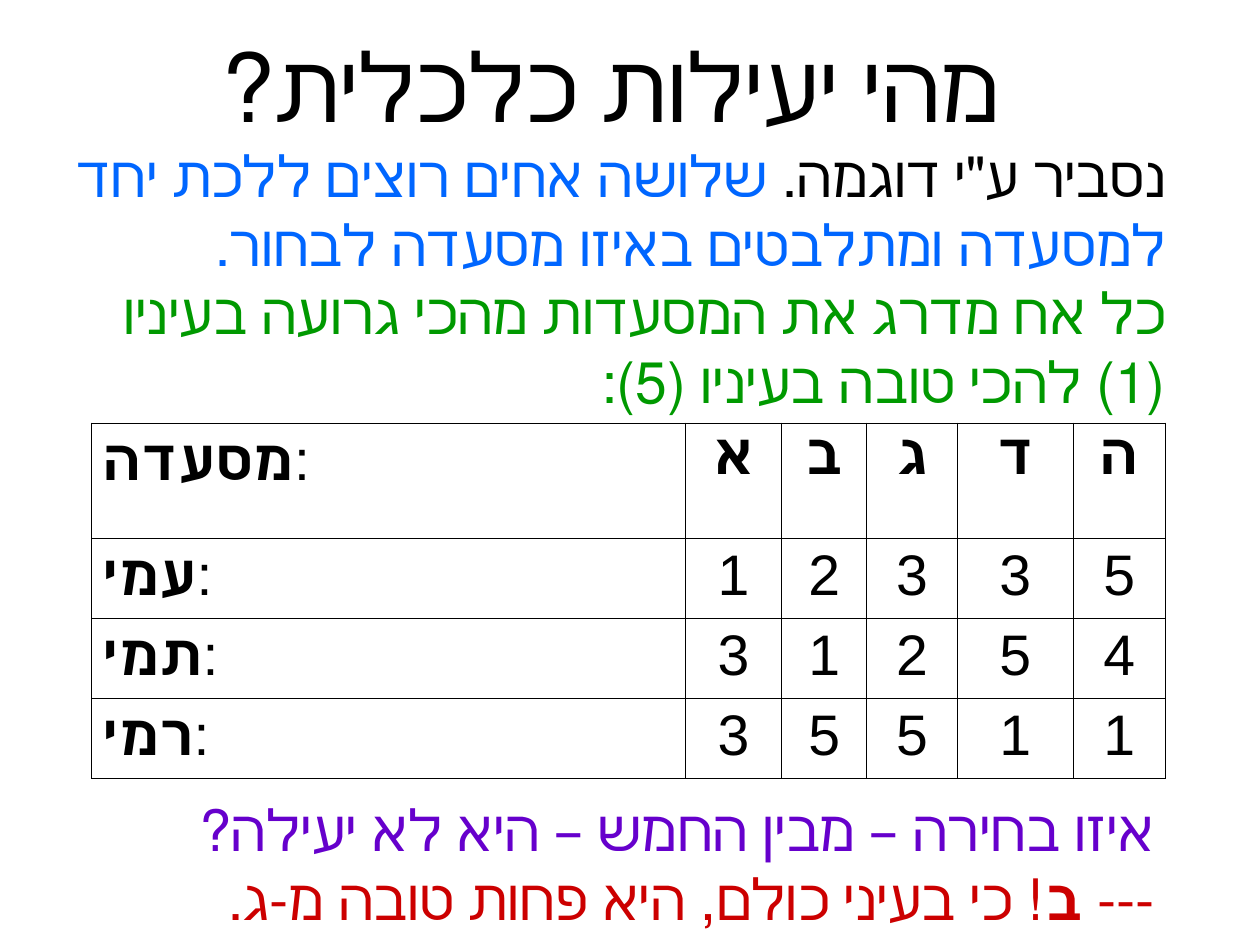
from dataclasses import dataclass

import pptx
import pptx.dml.color
import pptx.enum.text
import pptx.oxml
import pptx.oxml.ns
import pptx.util

Pt = pptx.util.Pt
ALIGN = pptx.enum.text.PP_ALIGN


@dataclass(frozen=True)
class Theme:
    """Colours, font and type sizes of the slide."""
    font: str = "Arial"
    title_size: float = 60
    body_size: float = 36
    border_width: float = 0.57
    black: str = "000000"
    white: str = "FFFFFF"
    blue: str = "0066FF"
    green: str = "009900"
    purple: str = "6600CC"
    red: str = "CC0000"


THEME = Theme()
RESTAURANTS = ["א", "ב", "ג", "ד", "ה"]
RANKINGS = {
    "עמי": [1, 2, 3, 3, 5],
    "תמי": [3, 1, 2, 5, 4],
    "רמי": [3, 5, 5, 1, 1],
}
COLUMN_WIDTHS = [374.1, 60.8, 53.5, 57.2, 72.8, 58.2]
ROW_HEIGHTS = [72.7, 50.2, 50.2, 50.2]


def rgb(colour):
    """Turn a hex string into a colour value."""
    return pptx.dml.color.RGBColor.from_string(colour)


def write(paragraph, runs, align, size=THEME.body_size, rtl=False, indent=0):
    """Write (text, colour, bold) runs into a paragraph."""
    properties = paragraph._p.get_or_add_pPr()
    if rtl:
        properties.set("rtl", "1")
    if indent:
        properties.set("marL", str(Pt(indent)))
        properties.set("indent", "0")
    paragraph.alignment = align
    paragraph.font.name = THEME.font
    paragraph.font.size = Pt(size)
    for text, colour, bold in runs:
        run = paragraph.add_run()
        run.text = text
        run.font.bold = bold
        run.font.color.rgb = rgb(colour)


def add_text(slide, box, paragraphs, align=ALIGN.RIGHT, margins=(7.2, 3.6), **style):
    """Add a right-to-left text box."""
    frame = slide.shapes.add_textbox(*map(Pt, box)).text_frame
    frame.word_wrap = True
    frame.auto_size = pptx.enum.text.MSO_AUTO_SIZE.SHAPE_TO_FIT_TEXT
    frame.vertical_anchor = pptx.enum.text.MSO_ANCHOR.TOP
    frame.margin_left = frame.margin_right = Pt(margins[0])
    frame.margin_top = frame.margin_bottom = Pt(margins[1])
    for index, runs in enumerate(paragraphs):
        paragraph = frame.add_paragraph() if index else frame.paragraphs[0]
        write(paragraph, runs, align, rtl=True, **style)
    return frame


def style_cell(cell):
    """Give a cell thin black borders and a white fill."""
    properties = cell._tc.get_or_add_tcPr()
    for side in ("L", "R", "T", "B"):
        properties.append(pptx.oxml.parse_xml(
            f'<a:ln{side} {pptx.oxml.ns.nsdecls("a")} w="{Pt(THEME.border_width)}">'
            f'<a:solidFill><a:srgbClr val="{THEME.black}"/></a:solidFill></a:ln{side}>'))
    cell.fill.solid()
    cell.fill.fore_color.rgb = rgb(THEME.white)


def add_rankings(slide):
    """Add the table of each sibling's ranking of the restaurants."""
    rows = [("מסעדה", RESTAURANTS), *RANKINGS.items()]
    table = slide.shapes.add_table(
        len(rows), len(COLUMN_WIDTHS), Pt(57.6), Pt(266.4),
        Pt(sum(COLUMN_WIDTHS)), Pt(sum(ROW_HEIGHTS))).table
    table.first_row = table.horz_banding = False
    for column, width in zip(table.columns, COLUMN_WIDTHS):
        column.width = Pt(width)
    for r, (label, values) in enumerate(rows):
        table.rows[r].height = Pt(ROW_HEIGHTS[r])
        heading = [(label, THEME.black, True), (":", THEME.black, False)]
        write(table.cell(r, 0).text_frame.paragraphs[0], heading, ALIGN.LEFT)
        for c, value in enumerate(values, start=1):
            entry = [(str(value), THEME.black, r == 0)]
            write(table.cell(r, c).text_frame.paragraphs[0], entry, ALIGN.CENTER)
    for cell in table.iter_cells():
        style_cell(cell)


def main():
    """Build the slide and save it."""
    deck = pptx.Presentation()
    deck.slide_width, deck.slide_height = Pt(793.7), Pt(595.28)
    slide = deck.slides.add_slide(deck.slide_layouts[6])

    title = add_text(
        slide, (36, 18, 714.24, 69.84), [[("מהי יעילות כלכלית?", THEME.black, False)]],
        align=ALIGN.CENTER, margins=(0, 0), size=THEME.title_size, indent=17.28)
    title.vertical_anchor = pptx.enum.text.MSO_ANCHOR.MIDDLE
    add_rankings(slide)
    add_text(slide, (36, 84.96, 705.6, 168.48), [
        [("נסביר ע\"י דוגמה. ", THEME.black, False),
         ("שלושה אחים רוצים ללכת יחד למסעדה ומתלבטים באיזו מסעדה לבחור. ",
          THEME.blue, False)],
        [("כל אח מדרג את המסעדות מהכי גרועה בעיניו (1) להכי טובה בעיניו (5):",
          THEME.green, False)],
    ])
    add_text(slide, (43.2, 496.8, 691.2, 87.84), [
        [("איזו בחירה – מבין החמש – היא לא יעילה?", THEME.purple, False)],
        [("--- ", THEME.red, False), ("ב", THEME.red, True),
         ("! כי בעיני כולם, היא פחות טובה מ-ג.", THEME.red, False)],
    ])
    deck.save("out.pptx")


if __name__ == "__main__":
    main()
